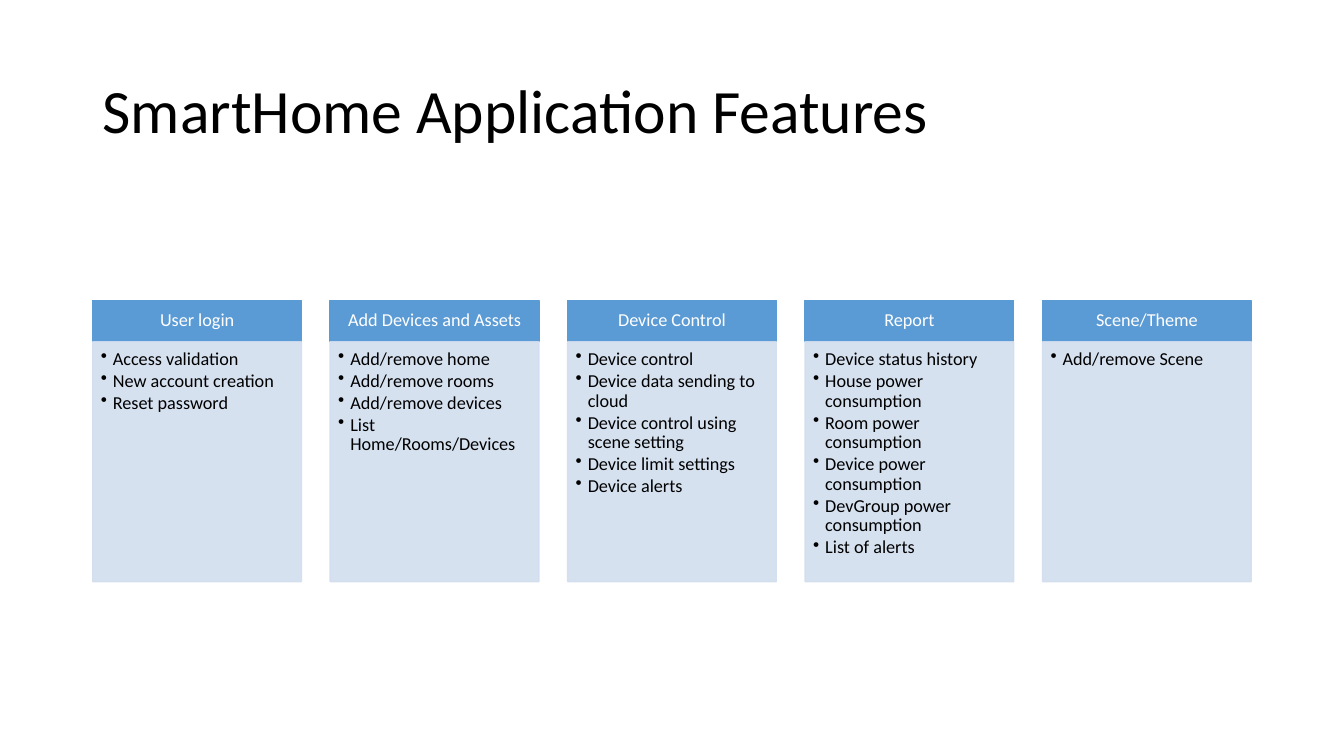
from dataclasses import dataclass

from lxml import etree
from pptx import Presentation
from pptx import util as u
from pptx.dml.color import RGBColor
from pptx.enum import shapes, text
from pptx.oxml import ns


@dataclass(frozen=True)
class Theme:
    font: str = "Calibri"
    title_size: float = 44
    text_size: float = 13
    dark: str = "000000"
    light: str = "FFFFFF"
    header: str = "5B9BD5"
    body: str = "D2DEEF"
    body_opacity: int = 90


THEME = Theme()
SLIDE_W, SLIDE_H = 13.33, 7.5
LEFT, SPAN, COL_W = 0.92, 11.49, 2.07
HEADER_TOP, HEADER_H, BODY_H = 2.98, 0.41, 2.38

FEATURES = {
    "User login": ["Access validation", "New account creation", "Reset password"],
    "Add Devices and Assets": [
        "Add/remove home",
        "Add/remove rooms",
        "Add/remove devices",
        "List Home/Rooms/Devices",
    ],
    "Device Control": [
        "Device control",
        "Device data sending to cloud",
        "Device control using scene setting",
        "Device limit settings",
        "Device alerts",
    ],
    "Report": [
        "Device status history",
        "House power consumption",
        "Room power consumption",
        "Device power consumption",
        "DevGroup power consumption",
        "List of alerts",
    ],
    "Scene/Theme": ["Add/remove Scene"],
}


def add_bullet(p, indent=0.12):
    pPr = p._p.get_or_add_pPr()
    pPr.set("marL", str(u.Inches(indent)))
    pPr.set("indent", str(-u.Inches(indent)))
    etree.SubElement(pPr, ns.qn("a:buChar")).set("char", "•")


def write(sp, lines, size=THEME.text_size, color=THEME.dark, align=text.PP_ALIGN.LEFT,
          anchor=text.MSO_ANCHOR.MIDDLE, insets=(0.1, 0.06, 0.1, 0.06), after=0,
          bullets=False):
    tf = sp.text_frame
    tf.word_wrap = True
    tf.vertical_anchor = anchor
    tf.margin_left, tf.margin_top, tf.margin_right, tf.margin_bottom = map(u.Inches, insets)
    for i, line in enumerate(lines):
        p = tf.paragraphs[0] if i == 0 else tf.add_paragraph()
        p.alignment = align
        p.line_spacing = 0.9
        p.space_after = u.Pt(after)
        if bullets:
            add_bullet(p)
        r = p.add_run()
        r.text = line
        r.font.name = THEME.font
        r.font.size = u.Pt(size)
        r.font.color.rgb = RGBColor.from_string(color)


def add_box(slide, x, y, w, h, color, opacity=100):
    sp = slide.shapes.add_shape(shapes.MSO_SHAPE.RECTANGLE, *map(u.Inches, (x, y, w, h)))
    sp.shadow.inherit = False
    sp.fill.solid()
    sp.line.width = u.Pt(1)
    for fill in (sp.fill, sp.line.fill):
        fill.solid()
        fill.fore_color.rgb = RGBColor.from_string(color)
    if opacity < 100:
        for clr in sp._element.spPr.iter(ns.qn("a:srgbClr")):
            etree.SubElement(clr, ns.qn("a:alpha")).set("val", str(opacity * 1000))
    return sp


def add_title(slide, title):
    sp = slide.shapes.add_textbox(*map(u.Inches, (LEFT, 0.4, 11.5, 1.45)))
    write(sp, [title], size=THEME.title_size, insets=(0.1, 0.05, 0.1, 0.05))


def add_feature(slide, col, name, items):
    x = LEFT + col * (SPAN - COL_W) / (len(FEATURES) - 1)
    header = add_box(slide, x, HEADER_TOP, COL_W, HEADER_H, THEME.header)
    write(header, [name], color=THEME.light, align=text.PP_ALIGN.CENTER)
    body = add_box(slide, x, HEADER_TOP + HEADER_H, COL_W, BODY_H, THEME.body,
                   opacity=THEME.body_opacity)
    write(body, items, anchor=text.MSO_ANCHOR.TOP, insets=(0.08, 0.08, 0.1, 0.11),
          after=1.6, bullets=True)


def main():
    prs = Presentation()
    prs.slide_width, prs.slide_height = u.Inches(SLIDE_W), u.Inches(SLIDE_H)
    slide = prs.slides.add_slide(prs.slide_layouts[6])
    add_title(slide, "SmartHome Application Features")
    for col, (name, items) in enumerate(FEATURES.items()):
        add_feature(slide, col, name, items)
    prs.save("out.pptx")


if __name__ == "__main__":
    main()
